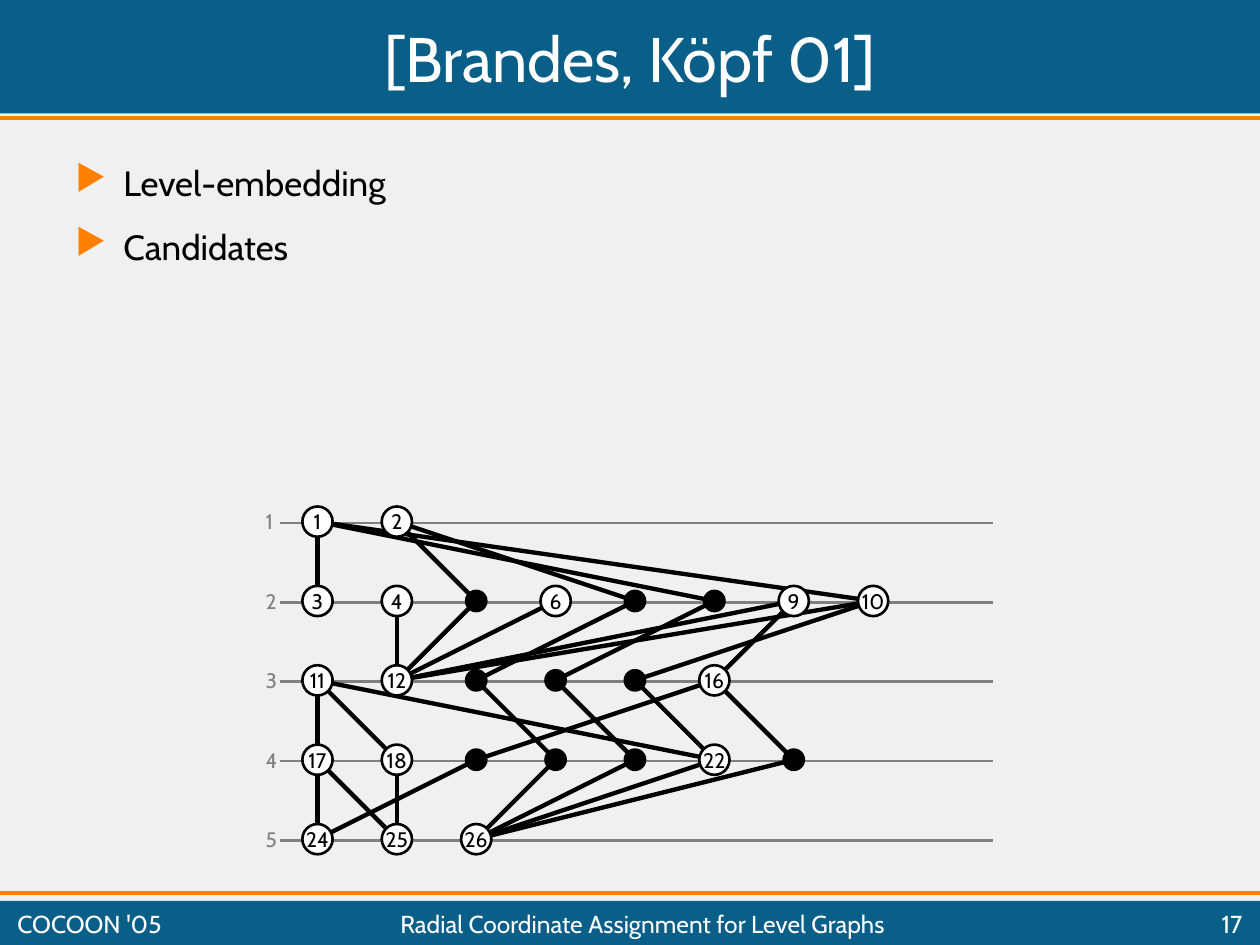
from lxml.etree import SubElement
from pptx import Presentation
from pptx.dml.color import RGBColor
from pptx.enum.shapes import MSO_CONNECTOR, MSO_SHAPE
from pptx.enum.text import MSO_ANCHOR, MSO_AUTO_SIZE, PP_ALIGN
from pptx.oxml.ns import qn
from pptx.util import Inches, Pt

COLORS = {
    "background": "F0F0F0",
    "band": "0A5F89",
    "accent": "FF7F00",
    "level": "808080",
    "ink": "000000",
    "white": "FFFFFF",
}
RGB = {role: RGBColor.from_string(value) for role, value in COLORS.items()}


def write_text(frame, text, size=12, color="ink", align=PP_ALIGN.LEFT,
               anchor=MSO_ANCHOR.MIDDLE, wrap=True, bullet=None, gap=0):
    """Write each line of text as a formatted paragraph."""
    frame.text = text
    frame.word_wrap = wrap
    frame.auto_size = MSO_AUTO_SIZE.NONE
    frame.vertical_anchor = anchor
    for index, paragraph in enumerate(frame.paragraphs):
        if bullet:
            properties = paragraph._p.get_or_add_pPr()
            properties.set("marL", str(Inches(0.38)))
            properties.set("indent", str(Inches(-0.38)))
            bullet_color = SubElement(properties, qn("a:buClr"))
            SubElement(bullet_color, qn("a:srgbClr"), val=COLORS["accent"])
            SubElement(properties, qn("a:buChar"), char=bullet)
        paragraph.alignment = align
        if index:
            paragraph.space_before = Pt(gap)
        paragraph.font.name = "Cabin"
        paragraph.font.size = Pt(size)
        paragraph.font.color.rgb = RGB[color]


def add_line(start, end, color, width):
    """Draw a straight line between two points in inches."""
    line = slide.shapes.add_connector(
        MSO_CONNECTOR.STRAIGHT, *[Inches(value) for value in (*start, *end)])
    line.line.color.rgb = RGB[color]
    line.line.width = Pt(width)
    SubElement(line.element.spPr, qn("a:effectLst"))
    return line


presentation = Presentation()
presentation.slide_width = Inches(10)
presentation.slide_height = Inches(7.5)
slide = presentation.slides.add_slide(presentation.slide_layouts[5])
slide.background.fill.solid()
slide.background.fill.fore_color.rgb = RGB["background"]

for top, height in [(0, 0.9), (7.15, 0.35)]:
    band = slide.shapes.add_shape(
        MSO_SHAPE.RECTANGLE, 0, Inches(top), Inches(10), Inches(height))
    band.shadow.inherit = False
    band.fill.solid()
    band.fill.fore_color.rgb = RGB["band"]
    band.line.fill.background()
for y in (0.94, 7.09):
    accent_rule = add_line((0, y), (10, y), "accent", 2.25)

title = slide.shapes.title
title.left, title.top = Inches(0.04), Inches(0.04)
title.width, title.height = Inches(9.92), Inches(0.83)
write_text(title.text_frame, "[Brandes, Köpf 01]", size=36, color="white",
           align=PP_ALIGN.CENTER)
accent_rule.element.addnext(title.element)

topics = slide.shapes.add_textbox(
    Inches(0.5), Inches(1.23), Inches(8.95), Inches(2.52))
write_text(topics.text_frame, "Level-embedding\nCandidates", size=20,
           anchor=MSO_ANCHOR.TOP, bullet="▶", gap=12.5)

GRID_LEFT, GRID_TOP, PITCH = 2.52, 4.14, 0.63
LEVEL_SIZES = [2, 8, 6, 7, 3]
DUMMIES = {5, 7, 8, 13, 14, 15, 19, 20, 21, 23}
EDGES = {
    1: [3, 8, 10], 2: [5, 7],
    4: [12], 5: [12], 6: [12], 7: [13], 8: [14], 9: [12, 16], 10: [12, 15],
    11: [17, 18, 22], 13: [20], 14: [21], 15: [22], 16: [19, 23],
    17: [24, 25], 18: [25], 19: [24], 20: [26], 21: [26], 22: [26], 23: [26],
}

centers = {}
for level, level_size in enumerate(LEVEL_SIZES):
    y = GRID_TOP + level * PITCH
    for column in range(level_size):
        centers[len(centers) + 1] = (GRID_LEFT + column * PITCH, y)
    add_line((2.22, y + 0.01), (7.88, y + 0.01), "level", 1.5)
    level_label = slide.shapes.add_textbox(
        Inches(2.01), Inches(y - 0.15), Inches(0.29), Inches(0.3))
    write_text(level_label.text_frame, str(level + 1), color="level",
               anchor=MSO_ANCHOR.TOP, wrap=False)

for source, targets in EDGES.items():
    for target in targets:
        add_line(centers[source], centers[target], "ink", 2.5)

for number, (x, y) in centers.items():
    is_dummy = number in DUMMIES
    diameter = 0.16 if is_dummy else 0.24
    node = slide.shapes.add_shape(
        MSO_SHAPE.OVAL, Inches(x - diameter / 2), Inches(y - diameter / 2),
        Inches(diameter), Inches(diameter))
    node.shadow.inherit = False
    node.fill.solid()
    node.fill.fore_color.rgb = RGB["ink" if is_dummy else "white"]
    node.line.color.rgb = RGB["ink"]
    node.line.width = Pt(1.5)
    if not is_dummy:
        write_text(node.text_frame, str(number), align=PP_ALIGN.CENTER,
                   wrap=False)

for left, width, text, align in [
    (0.04, 1.44, "COCOON '05", PP_ALIGN.LEFT),
    (1.5, 7.2, "Radial Coordinate Assignment for Level Graphs", PP_ALIGN.CENTER),
    (8.78, 1.18, "17", PP_ALIGN.RIGHT),
]:
    footer = slide.shapes.add_textbox(
        Inches(left), Inches(7.19), Inches(width), Inches(0.28))
    write_text(footer.text_frame, text, size=14, color="white", align=align)

presentation.save("out.pptx")
